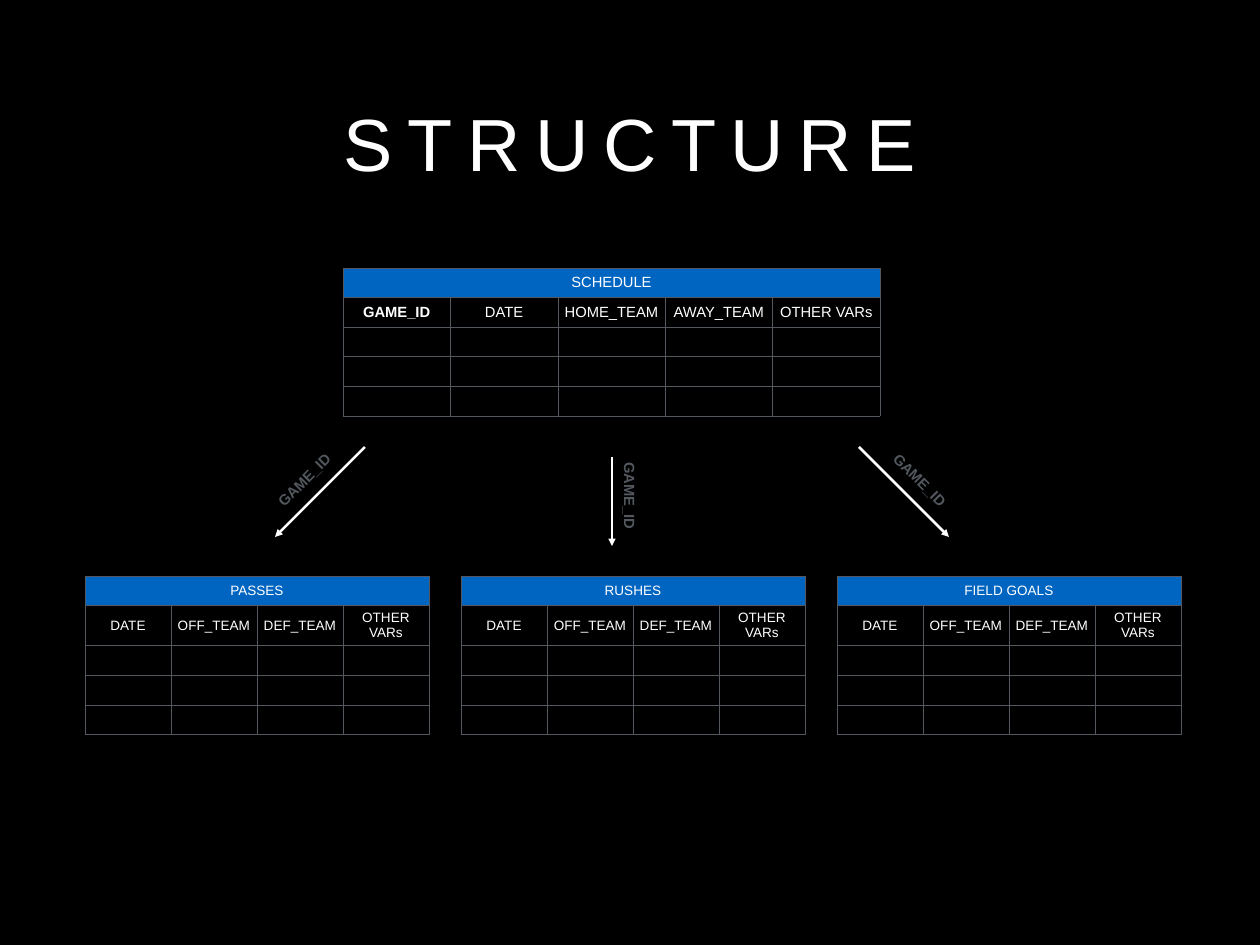
from lxml import etree
from pptx import Presentation
from pptx import util as u
from pptx.dml.color import RGBColor
from pptx.enum import shapes, text
from pptx.oxml.ns import qn

PX = 10321  # EMU per px
WHITE, BLACK, BLUE, GREY = "FFFFFF", "000000", "0065C1", "53585F"
FACE = "Arial"
EMPTY_ROWS = 3
EVENT_COLUMNS = ["DATE", "OFF_TEAM", "DEF_TEAM", "OTHER VARs"]
SCHEDULE_COLUMNS = ["GAME_ID", "DATE", "HOME_TEAM", "AWAY_TEAM", "OTHER VARs"]


def px(*lengths):
    return [u.Emu(round(length * PX)) for length in lengths]


def color(hex_string):
    return RGBColor.from_string(hex_string)


def assign(target, values):
    for name, value in values.items():
        setattr(target, name, value)


def write(frame, words, size, hue, bold=False, margin=5):
    """Put one centred line of text into a text frame."""
    inset = px(margin)[0]
    assign(frame, dict(vertical_anchor=text.MSO_ANCHOR.MIDDLE,
                       margin_left=inset, margin_right=inset,
                       margin_top=inset, margin_bottom=inset))
    para = frame.paragraphs[0]
    para.alignment = text.PP_ALIGN.CENTER
    span = para.add_run()
    span.text = words
    assign(span.font, dict(name=FACE, size=u.Pt(size), bold=bold))
    span.font.color.rgb = color(hue)
    return span


def add_title(page, box, words):
    title = page.shapes.title
    assign(title, dict(zip(("left", "top", "width", "height"), px(*box))))
    title.text_frame.auto_size = text.MSO_AUTO_SIZE.NONE
    span = write(title.text_frame, words, 60, WHITE, margin=0)
    span.font._element.set("spc", "1200")


def add_borders(cell):
    properties = cell._tc.get_or_add_tcPr()
    for side in ("a:lnL", "a:lnR", "a:lnT", "a:lnB"):
        line = etree.SubElement(properties, qn(side), w=str(u.Pt(0.5)))
        fill = etree.SubElement(line, qn("a:solidFill"))
        etree.SubElement(fill, qn("a:srgbClr"), val=GREY)


def add_data_table(page, box, name, columns, size, key=None):
    """Draw a named table: a merged heading, column names and empty rows."""
    rows = [[name] + [""] * (len(columns) - 1), columns]
    rows += [[""] * len(columns)] * EMPTY_ROWS
    left, top, width, height = px(*box)
    table = page.shapes.add_table(len(rows), len(columns), left, top, width, height).table
    assign(table, dict(first_row=False, horz_banding=False))
    for column in table.columns:
        column.width = width // len(columns)
    for row in table.rows:
        row.height = height // len(rows)
    table.cell(0, 0).merge(table.cell(0, len(columns) - 1))

    for r, row in enumerate(rows):
        for c, words in enumerate(row):
            cell = table.cell(r, c)
            add_borders(cell)
            cell.fill.solid()
            cell.fill.fore_color.rgb = color(BLACK if r else BLUE)
            inset = px(5)[0]
            assign(cell, dict(vertical_anchor=text.MSO_ANCHOR.MIDDLE,
                              margin_left=inset, margin_right=inset,
                              margin_top=inset, margin_bottom=inset))
            para = cell.text_frame.paragraphs[0]
            para.alignment = text.PP_ALIGN.CENTER
            if words:
                span = para.add_run()
                span.text = words
                assign(span.font, dict(name=FACE, size=u.Pt(size), bold=words == key))
                span.font.color.rgb = color(WHITE)
            else:
                etree.SubElement(para._p, qn("a:endParaRPr"), sz=str(size * 100))


def add_key_arrow(page, start, end, label_center, rotation):
    """Draw an arrow with the shared key written along it."""
    group = page.shapes.add_group_shape()
    arrow = group.shapes.add_connector(shapes.MSO_CONNECTOR.STRAIGHT, *px(*start, *end))
    arrow.line.width = u.Pt(2)
    arrow.line.color.rgb = color(WHITE)
    etree.SubElement(arrow.line._get_or_add_ln(), qn("a:tailEnd"), type="triangle")
    etree.SubElement(arrow._element.spPr, qn("a:effectLst"))

    width, height = 78, 27
    x, y = label_center
    label = group.shapes.add_textbox(*px(x - width / 2, y - height / 2, width, height))
    label.rotation = rotation
    label.text_frame.word_wrap = False
    write(label.text_frame, "GAME_ID", 12, GREY, bold=True)


def add_structure_page(deck):
    page = deck.slides.add_slide(deck.slide_layouts[5])
    page.background.fill.solid()
    page.background.fill.fore_color.rgb = color(BLACK)
    add_title(page, (92, 25, 1076, 234), "STRUCTURE")

    # Event tables in a row
    for i, name in enumerate(["PASSES", "RUSHES", "FIELD GOALS"]):
        add_data_table(page, (85 + 376 * i, 576, 344, 148), name, EVENT_COLUMNS, 11)

    # Schedule table above them
    add_data_table(page, (343, 268, 537, 148), "SCHEDULE", SCHEDULE_COLUMNS, 12, key="GAME_ID")

    # Arrows from the schedule to each event table
    add_key_arrow(page, (612, 457), (612, 546), (630, 496), 90)
    for side, rotation in ((1, 45), (-1, 315)):
        add_key_arrow(page, (612 + 247 * side, 447), (612 + 337 * side, 537),
                      (612 + 308 * side, 480), rotation)


def main():
    deck = Presentation()
    deck.slide_width, deck.slide_height = px(1260, 945)
    add_structure_page(deck)
    deck.save("out.pptx")


if __name__ == "__main__":
    main()
